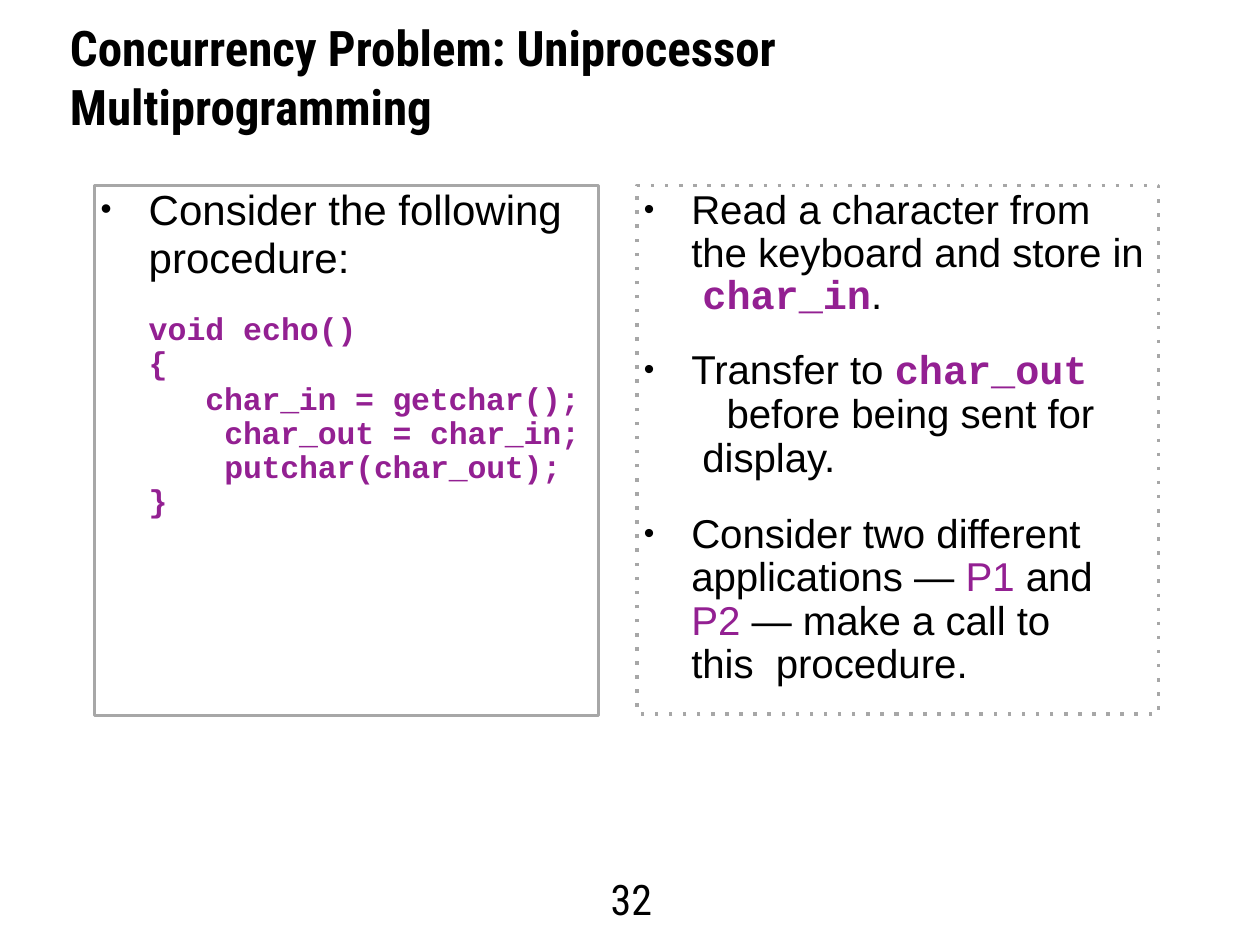
from pptx import Presentation
from pptx.dml.color import RGBColor
from pptx.enum import dml, shapes, text
from pptx.oxml import ns
from pptx.util import Pt
from lxml import etree

COLORS = {"ink": "000000", "code": "932092", "frame": "A7A7A7"}
CODE = {"name": "Courier New", "color": "code", "bold": True}
ACCENT = {"color": "code"}


def style_font(font, name=None, size=None, color=None, bold=None):
    """Set the given font properties."""
    if name:
        font.name = name
    if size:
        font.size = Pt(size)
    if color:
        font.color.rgb = RGBColor.from_string(COLORS[color])
    if bold is not None:
        font.bold = bold


def prepare_frame(shape):
    """Return the shape's text frame, wrapped, top anchored and without margins."""
    frame = shape.text_frame
    frame.word_wrap = True
    frame.vertical_anchor = text.MSO_ANCHOR.TOP
    frame.margin_left = frame.margin_top = frame.margin_right = frame.margin_bottom = 0
    return frame


def add_text_box(slide, box):
    """Add a text box and return its frame."""
    return prepare_frame(slide.shapes.add_textbox(*map(Pt, box)))


def add_frame(slide, box, dotted=False):
    """Add an unfilled grey rectangle."""
    shape = slide.shapes.add_shape(shapes.MSO_SHAPE.RECTANGLE, *map(Pt, box))
    shape.shadow.inherit = False
    shape.fill.background()
    shape.line.color.rgb = RGBColor.from_string(COLORS["frame"])
    shape.line.width = Pt(2)
    if dotted:
        shape.line.dash_style = dml.MSO_LINE.ROUND_DOT
        next(shape._element.iter(ns.qn("a:prstDash"))).set("val", "dot")
    return shape


def add_paragraph(frame, pieces, font, left=0, first=0, spacing=None, before=0,
                  bullet=False, tracking=0):
    """Write (words, font changes) pieces as one paragraph, with newlines as line breaks."""
    unused = not frame.paragraphs[0].runs
    paragraph = frame.paragraphs[0] if unused else frame.add_paragraph()
    paragraph.alignment = text.PP_ALIGN.LEFT
    paragraph.line_spacing = spacing
    paragraph.space_before = Pt(before)
    properties = paragraph._p.get_or_add_pPr()
    properties.set("marL", str(Pt(left)))
    properties.set("indent", str(Pt(first)))
    if bullet:
        for tag, key, value in (("buSzPct", "val", "75000"),
                                ("buFont", "typeface", "Arial"),
                                ("buChar", "char", "•")):
            etree.SubElement(properties, ns.qn(f"a:{tag}")).set(key, value)
    style_font(paragraph.font, **font)
    for words, changes in pieces:
        for number, line in enumerate(words.split("\n")):
            if number:
                paragraph.add_line_break()
            if line:
                run = paragraph.add_run()
                run.text = line
                style_font(run.font, **changes)
                if tracking:
                    run._r.get_or_add_rPr().set("spc", str(tracking))


def add_title(slide, box):
    """Add the slide title."""
    font = {"name": "Roboto Condensed", "size": 28, "color": "ink", "bold": True}
    add_paragraph(add_text_box(slide, box),
                  [("Concurrency Problem: Uniprocessor Multiprogramming", {})],
                  font, left=1, before=1)


def add_procedure(slide, box):
    """Add the framed listing of the echo procedure."""
    frame = prepare_frame(add_frame(slide, box))
    font = {"name": "Arial", "size": 24, "color": "ink"}
    code = {**CODE, "size": 18}
    add_paragraph(frame, [("Consider the following\nprocedure:", {})], font,
                  31, -27.5, Pt(27.4), bullet=True)
    add_paragraph(frame, [("void echo()", {})], code, 31, 0, Pt(20.6), 16.8)
    add_paragraph(frame, [("{", {})], code, 31, 0, Pt(19.4))
    body = "char_in = getchar();\nchar_out = char_in;\nputchar(char_out);"
    add_paragraph(frame, [(body, {})], code, 74.2, -10.8, Pt(19.4), 1.4, tracking=-10)
    add_paragraph(frame, [("}", {})], code, 31, 0, Pt(19.2))


def add_explanation(slide, box):
    """Add the dotted frame with the three points about the procedure."""
    left, top, width, height = box
    add_frame(slide, box, dotted=True)
    frame = add_text_box(slide, (left + 4, top - 1, width - 6, height - 12))
    frame.margin_top = Pt(4)
    font = {"name": "Arial", "size": 23, "color": "ink"}
    points = (
        (0.88, 4.3, [("Read a character from\nthe keyboard and store in\n ", {}),
                     ("char_in", CODE), (".", {})]),
        (0.92, 17.4, [("Transfer to ", {}), ("char_out\n ", CODE),
                      (" before being sent for\n display.", {})]),
        (0.9, 18.1, [("Consider two different\napplications — ", {}), ("P1", ACCENT),
                     (" and\n", {}), ("P2", ACCENT),
                     (" — make a call to\nthis  procedure.", {})]),
    )
    for spacing, before, pieces in points:
        add_paragraph(frame, pieces, font, 27, -27, spacing, before,
                      bullet=True, tracking=-5)


def add_page_number(slide, box):
    """Add the page number."""
    font = {"name": "Roboto Condensed", "size": 24, "color": "ink"}
    add_paragraph(add_text_box(slide, box), [("32", {})], font, left=3, spacing=Pt(28.2))


def main():
    """Build and save the slide."""
    presentation = Presentation()
    presentation.slide_width, presentation.slide_height = Pt(720), Pt(540)
    slide = presentation.slides.add_slide(presentation.slide_layouts[6])
    add_title(slide, (39, 10, 608, 36))
    add_procedure(slide, (54, 106, 288, 303))
    add_explanation(slide, (364, 106, 298, 302))
    add_page_number(slide, (346, 500, 33, 30))
    presentation.save("out.pptx")


if __name__ == "__main__":
    main()
